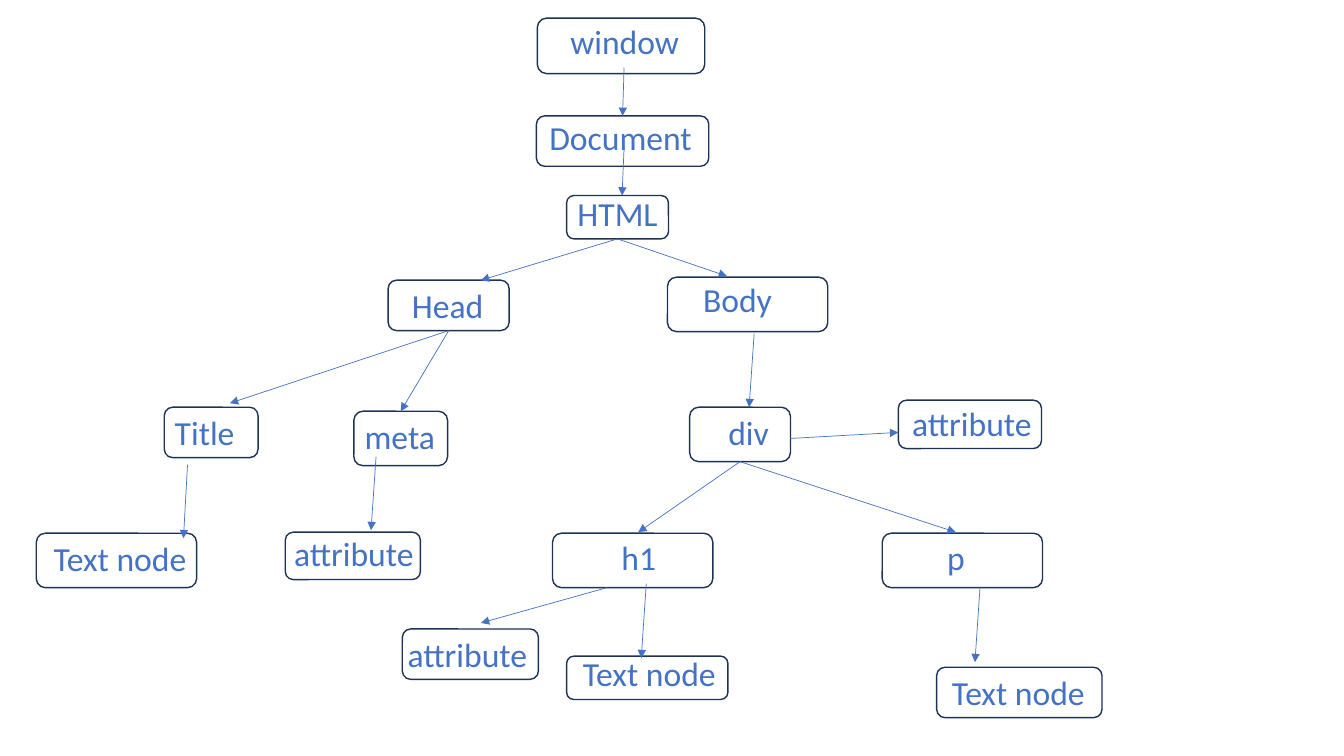
import pptx
import pptx.util
import pptx.dml.color
import pptx.enum.shapes
import pptx.enum.text
from lxml import etree
from pptx.oxml.ns import qn
from pptx.util import Inches, Pt

BLUE = pptx.dml.color.RGBColor(0x44, 0x72, 0xC4)
NAVY = pptx.dml.color.RGBColor(0x1E, 0x32, 0x56)
FONT = "Calibri"
LABEL_HEIGHT = 0.5
WRAPPED_LABELS = ("attribute", "Text node")
TOP, BOTTOM, RIGHT = 0, 2, 3

# key: (label, outline left/top/width/height, label left/top/width)
NODES = {
    "window": ("window", (5.33, 0.18, 1.66, 0.55), (5.55, 0.16, 1.29)),
    "document": ("Document", (5.32, 1.15, 1.71, 0.5), (5.34, 1.11, 1.63)),
    "html": ("HTML", (5.62, 1.94, 1.01, 0.43), (5.62, 1.86, 1.01)),
    "head": ("Head", (3.85, 2.78, 1.2, 0.5), (3.98, 2.78, 0.92)),
    "body": ("Body", (6.62, 2.75, 1.59, 0.54), (6.87, 2.72, 0.89)),
    "title": ("Title", (1.63, 4.04, 0.93, 0.5), (1.63, 4.04, 0.8)),
    "meta": ("meta", (3.51, 4.08, 0.93, 0.54), (3.51, 4.08, 0.91)),
    "div": ("div", (6.84, 4.04, 1, 0.54), (7.12, 4.04, 0.61)),
    "div attribute": ("attribute", (8.91, 3.97, 1.42, 0.48), (8.81, 3.95, 1.66)),
    "title text": ("Text node", (0.36, 5.29, 1.59, 0.54), (0.36, 5.29, 1.66)),
    "meta attribute": ("attribute", (2.83, 5.28, 1.34, 0.47), (2.68, 5.24, 1.66)),
    "h1": ("h1", (5.48, 5.29, 1.59, 0.54), (6.06, 5.28, 0.55)),
    "p": ("p", (8.75, 5.29, 1.59, 0.54), (9.29, 5.28, 0.38)),
    "h1 attribute": ("attribute", (3.99, 6.24, 1.35, 0.5), (3.79, 6.24, 1.69)),
    "h1 text": ("Text node", (5.62, 6.51, 1.6, 0.43), (5.61, 6.43, 1.66)),
    "p text": ("Text node", (9.29, 6.62, 1.64, 0.5), (9.27, 6.62, 1.66)),
}

# start point, end point, joined (node, side) at the start and at the end
ARROWS = [
    ((6.19, 0.67), (6.17, 1.15), None, ("document", TOP)),
    ((6.19, 1.46), (6.17, 1.94), None, None),
    ((6.12, 2.37), (4.77, 2.78), ("html", BOTTOM), None),
    ((6.12, 2.37), (7.21, 2.74), ("html", BOTTOM), None),
    ((4.45, 3.29), (2.28, 4), ("head", BOTTOM), None),
    ((4.44, 3.29), (3.96, 4.08), ("head", BOTTOM), ("meta", TOP)),
    ((7.48, 3.31), (7.43, 4.04), None, None),
    ((7.84, 4.35), (8.91, 4.29), None, None),
    ((1.86, 4.61), (1.82, 5.34), None, None),
    ((3.73, 4.53), (3.68, 5.26), None, None),
    ((7.34, 4.59), (6.33, 5.28), ("div", BOTTOM), None),
    ((7.34, 4.59), (9.48, 5.28), ("div", BOTTOM), None),
    ((6.02, 5.83), (4.77, 6.18), None, None),
    ((6.41, 5.79), (6.36, 6.53), None, None),
    ((9.72, 5.83), (9.67, 6.57), None, None),
]


def add_outline(slide, box):
    outline = slide.shapes.add_shape(
        pptx.enum.shapes.MSO_SHAPE.ROUNDED_RECTANGLE, *map(Inches, box))
    outline.shadow.inherit = False
    outline.fill.background()
    outline.line.color.rgb = NAVY
    outline.line.width = Pt(1)
    return outline


def add_label(slide, label, place):
    text_box = slide.shapes.add_textbox(*map(Inches, (*place, LABEL_HEIGHT)))
    frame = text_box.text_frame
    frame.word_wrap = label in WRAPPED_LABELS
    frame.auto_size = pptx.enum.text.MSO_AUTO_SIZE.SHAPE_TO_FIT_TEXT
    frame.text = label
    paragraph = frame.paragraphs[0]
    paragraph.alignment = pptx.enum.text.PP_ALIGN.CENTER
    font = paragraph.runs[0].font
    font.name = FONT
    font.size = Pt(24)
    font.color.rgb = BLUE


def add_arrow(slide, outlines, start, end, start_joint, end_joint):
    arrow = slide.shapes.add_connector(
        pptx.enum.shapes.MSO_CONNECTOR.STRAIGHT, *map(Inches, (*start, *end)))
    if start_joint:
        node, side = start_joint
        arrow.begin_connect(outlines[node], side)
    if end_joint:
        node, side = end_joint
        arrow.end_connect(outlines[node], side)
    arrow.line.color.rgb = BLUE
    arrow.line.width = Pt(0.5)
    etree.SubElement(arrow.line._get_or_add_ln(), qn("a:tailEnd"), type="triangle")
    etree.SubElement(arrow._element.spPr, qn("a:effectLst"))


def main():
    deck = pptx.Presentation()
    deck.slide_width, deck.slide_height = Inches(13.33), Inches(7.5)
    slide = deck.slides.add_slide(deck.slide_layouts[6])
    outlines = {}
    for node, (label, box, label_place) in NODES.items():
        outlines[node] = add_outline(slide, box)
        add_label(slide, label, label_place)
    for arrow in ARROWS:
        add_arrow(slide, outlines, *arrow)
    deck.save("out.pptx")


if __name__ == "__main__":
    main()
